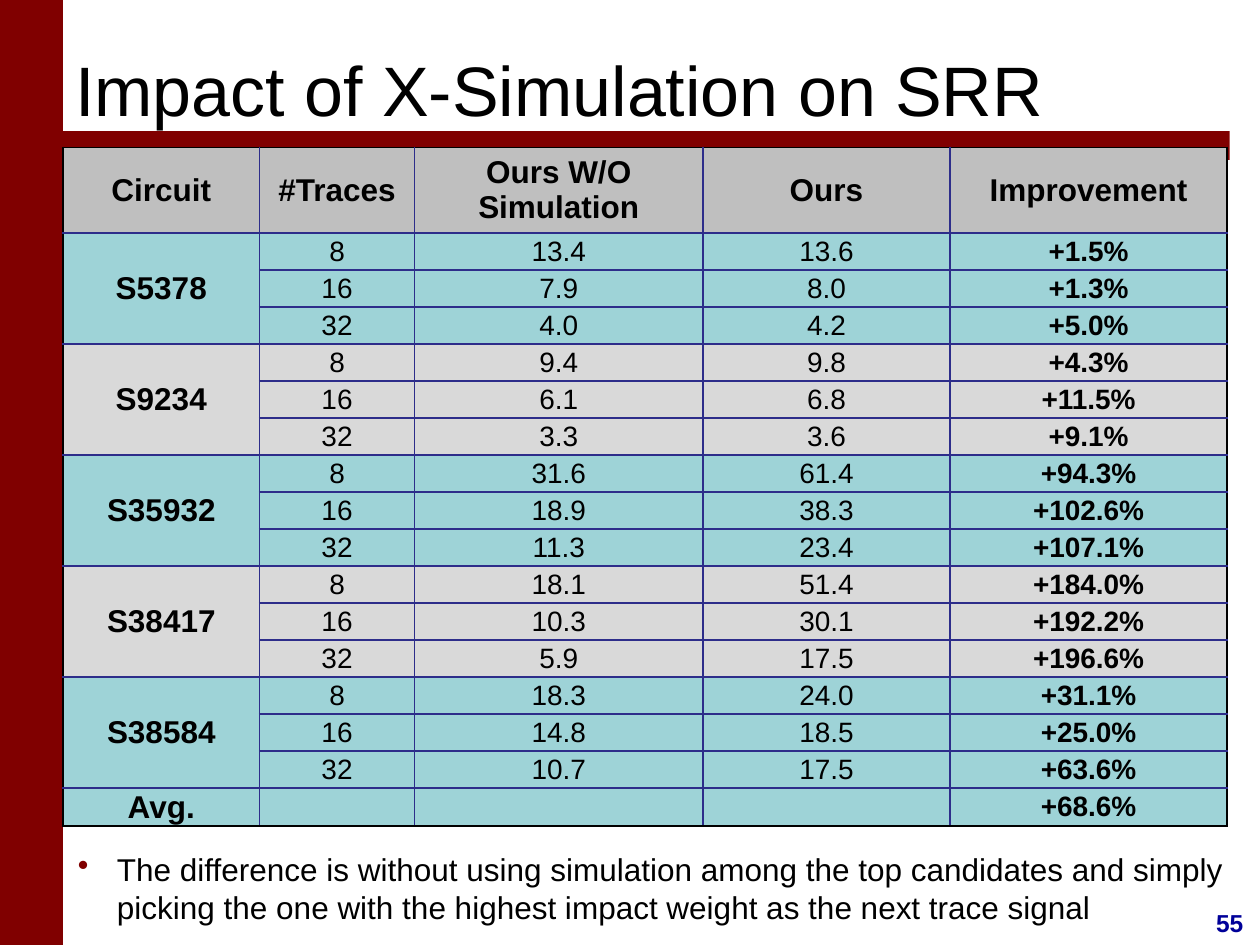
from lxml.etree import SubElement
from pptx import Presentation
from pptx.dml.color import RGBColor
from pptx.enum.shapes import MSO_SHAPE as Shape
from pptx.enum.text import MSO_ANCHOR as Anchor, PP_ALIGN as Align
from pptx.oxml.ns import qn
from pptx.util import Inches, Pt

BLACK = RGBColor(0x00, 0x00, 0x00)
MAROON = RGBColor(0x80, 0x00, 0x00)
NAVY = RGBColor(0x00, 0x00, 0x99)
RULE_BLUE = RGBColor(0x2D, 0x2D, 0x8A)
HEADER_GREY = RGBColor(0xBF, 0xBF, 0xBF)
BAND_GREY = RGBColor(0xD9, 0xD9, 0xD9)
BAND_TEAL = RGBColor(0x9E, 0xD3, 0xD7)

GRID_COLUMNS, GRID_ROWS = 100, 75
HEADERS = ["Circuit", "#Traces", "Ours W/O Simulation", "Ours", "Improvement"]
COLUMN_WIDTHS = [15.6, 12.3, 22.9, 19.6, 22.0]
HEADER_HEIGHT, BODY_HEIGHT = 6.8, 2.94
TRACES = ["8", "16", "32"]
RESULTS = {
    "S5378": [("13.4", "13.6", "+1.5%"), ("7.9", "8.0", "+1.3%"), ("4.0", "4.2", "+5.0%")],
    "S9234": [("9.4", "9.8", "+4.3%"), ("6.1", "6.8", "+11.5%"), ("3.3", "3.6", "+9.1%")],
    "S35932": [("31.6", "61.4", "+94.3%"), ("18.9", "38.3", "+102.6%"), ("11.3", "23.4", "+107.1%")],
    "S38417": [("18.1", "51.4", "+184.0%"), ("10.3", "30.1", "+192.2%"), ("5.9", "17.5", "+196.6%")],
    "S38584": [("18.3", "24.0", "+31.1%"), ("14.8", "18.5", "+25.0%"), ("10.7", "17.5", "+63.6%")],
}
AVERAGE = ["Avg.", "", "", "", "+68.6%"]


class SlideBuilder:
    """Places elements on a grid of 100 columns by 75 rows."""

    font_name = "Arial"

    def __init__(self, deck):
        self.slide = deck.slides.add_slide(deck.slide_layouts[6])
        self.column = deck.slide_width / GRID_COLUMNS
        self.row = deck.slide_height / GRID_ROWS

    def place(self, left, top, width, height):
        return (round(left * self.column), round(top * self.row),
                round(width * self.column), round(height * self.row))

    def add_span(self, para, text, size, color=BLACK, bold=False):
        span = para.add_run()
        span.text = text
        span.font.color.rgb = color
        style = {"name": self.font_name, "size": Pt(size), "bold": bold}
        for name, value in style.items():
            setattr(span.font, name, value)

    def bar(self, *area):
        shape = self.slide.shapes.add_shape(Shape.RECTANGLE, *self.place(*area))
        shape.shadow.inherit = False
        shape.fill.solid()
        shape.fill.fore_color.rgb = MAROON
        shape.line.fill.background()

    def text(self, area, text, size, anchor=Anchor.TOP, align=Align.LEFT, bullet=None, **style):
        box = self.slide.shapes.add_textbox(*self.place(*area))
        box.text_frame.word_wrap = True
        box.text_frame.vertical_anchor = anchor
        para = box.text_frame.paragraphs[0]
        para.alignment = align
        if bullet:
            self.add_bullet(para, bullet)
        self.add_span(para, text, size, **style)

    def add_bullet(self, para, color):
        properties = para._p.get_or_add_pPr()
        indent = round(3.1 * self.column)
        properties.set("marL", str(indent))
        properties.set("indent", str(-indent))
        bullet_color = SubElement(properties, qn("a:buClr"))
        SubElement(bullet_color, qn("a:srgbClr"), val=str(color))
        SubElement(properties, qn("a:buChar"), char="•")

    def table(self, left, top, rows, fills, widths, heights):
        """Draw rows; the header, first and last columns are bold."""
        area = self.place(left, top, sum(widths), sum(heights))
        table = self.slide.shapes.add_table(len(rows), len(widths), *area).table
        table.first_row = table.horz_banding = False
        for column, width in zip(table.columns, widths):
            column.width = round(width * self.column)
        for row, height in zip(table.rows, heights):
            row.height = round(height * self.row)
        for start in range(1, len(rows) - 1, len(TRACES)):
            table.cell(start, 0).merge(table.cell(start + len(TRACES) - 1, 0))
        last_row, last_column = len(rows) - 1, len(widths) - 1
        for r, (values, fill) in enumerate(zip(rows, fills)):
            for c, value in enumerate(values):
                cell = table.cell(r, c)
                edges = {"L": c == 0, "R": c == last_column}
                if not cell.is_spanned:
                    edges |= {"T": r == 0, "B": r == last_row}
                self.cell_borders(cell, edges)
                self.fill_cell(cell, value, fill, 18 if r == 0 or c == 0 else 16,
                               r == 0 or c in (0, last_column))

    def fill_cell(self, cell, value, fill, size, bold):
        layout = {"vertical_anchor": Anchor.MIDDLE, "margin_left": Inches(0.01),
                  "margin_right": Inches(0.01), "margin_top": 0, "margin_bottom": 0}
        for name, setting in layout.items():
            setattr(cell, name, setting)
        cell.fill.solid()
        cell.fill.fore_color.rgb = fill
        if value:
            para = cell.text_frame.paragraphs[0]
            para.alignment = Align.CENTER
            self.add_span(para, value, size, bold=bold)

    def cell_borders(self, cell, edges):
        """Edges map a side to whether it lies on the table's outline."""
        properties = cell._tc.get_or_add_tcPr()
        for side, outer in edges.items():
            line = SubElement(properties, qn(f"a:ln{side}"), w=str(Pt(1)))
            fill = SubElement(line, qn("a:solidFill"))
            SubElement(fill, qn("a:srgbClr"), val=str(BLACK if outer else RULE_BLUE))


def main():
    deck = Presentation()
    deck.slide_width, deck.slide_height = Inches(10), Inches(7.5)
    builder = SlideBuilder(deck)

    builder.bar(0, 0, 5, GRID_ROWS)
    builder.text((95.1, 71.6, 5, 3.3), "55", 14, align=Align.CENTER, color=NAVY, bold=True)
    builder.bar(4.2, 10.4, 93.4, 2.3)
    builder.text((5.2, 67, 94.2, 7.1),
                 "The difference is without using simulation among the top candidates and simply "
                 "picking the one with the highest impact weight as the next trace signal",
                 18, bullet=MAROON)
    builder.text((5, 1.6, 91.7, 10.8), "Impact of X-Simulation on SRR", 40, anchor=Anchor.MIDDLE)

    rows, fills = [HEADERS], [HEADER_GREY]
    for index, (circuit, results) in enumerate(RESULTS.items()):
        for position, (traces, result) in enumerate(zip(TRACES, results)):
            rows.append(["" if position else circuit, traces, *result])
            fills.append(BAND_GREY if index % 2 else BAND_TEAL)
    rows.append(AVERAGE)
    fills.append(BAND_TEAL)
    heights = [HEADER_HEIGHT] + [BODY_HEIGHT] * (len(rows) - 1)
    builder.table(5, 11.7, rows, fills, COLUMN_WIDTHS, heights)

    deck.save("out.pptx")


if __name__ == "__main__":
    main()
